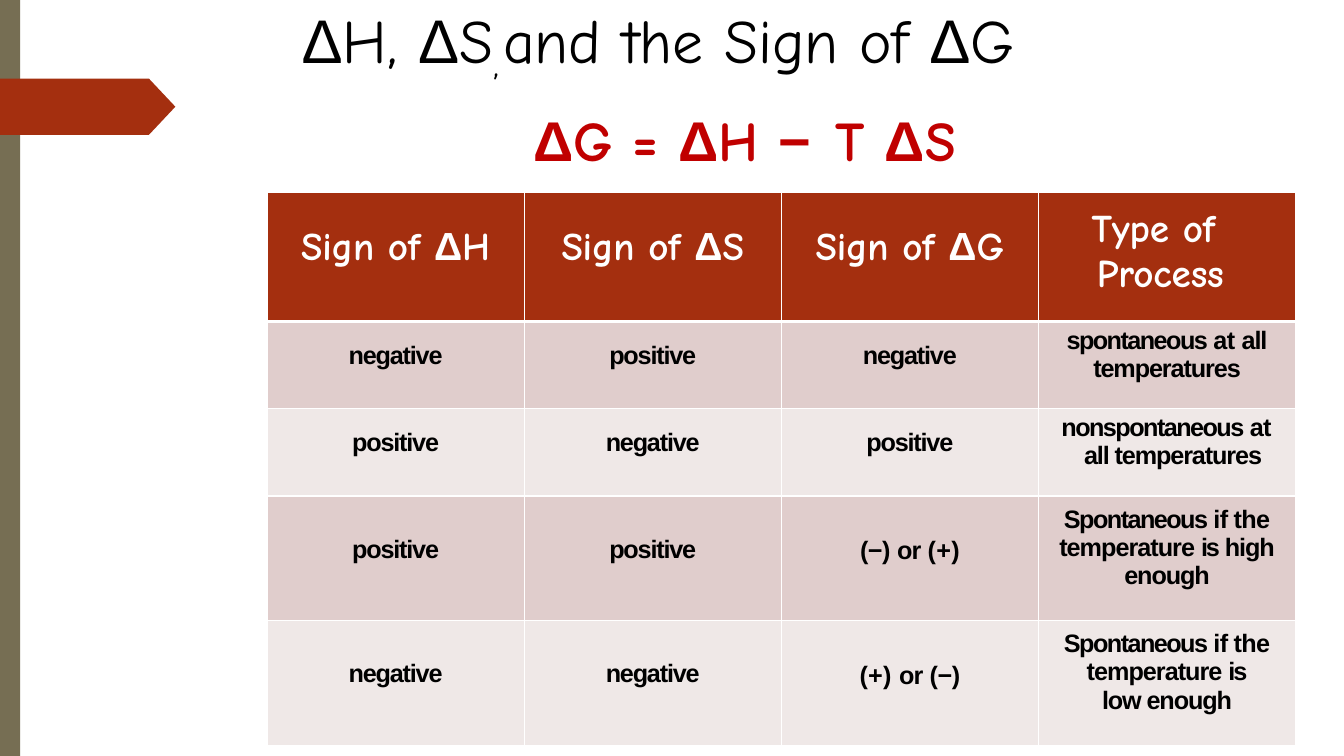
from dataclasses import dataclass
from itertools import groupby

from lxml.etree import SubElement
from pptx import Presentation
from pptx.dml.color import RGBColor
from pptx.enum.shapes import MSO_SHAPE
from pptx.enum.text import PP_ALIGN
from pptx.oxml.ns import qn
from pptx.util import Cm, Pt

DISPLAY, PLAIN = "Comic Neue", "Arial"
RUST, OLIVE, RED, WHITE, BLACK = "A42F0F", "766E53", "C00000", "FFFFFF", "000000"
BANDS = ("E0CDCC", "EFE8E7")


@dataclass
class Piece:
    """Stretch of text with its letter spacing and baseline shift."""
    text: str
    spacing: float = 0
    baseline: int = 0


@dataclass
class Entry:
    """Content of one table cell; centred unless a left margin is given."""
    pieces: list[Piece]
    top: float
    left: float = 0
    first_indent: float = 0


@dataclass
class Line:
    """Single line of display text with one tab stop."""
    pieces: list[Piece]
    box: tuple[float, float, float, float]
    size: int
    color: str
    bold: bool
    tab: float
    indent: float


def rgb(color: str) -> RGBColor:
    return RGBColor.from_string(color)


def add_pieces(paragraph, pieces: list[Piece], font: str) -> None:
    """Add runs, setting delta and minus signs in the plain font."""
    for piece in pieces:
        for number, part in enumerate(piece.text.split("\n")):
            if number:
                paragraph.add_line_break()
            for is_symbol, letters in groupby(part, lambda letter: letter in "Δ−"):
                run = paragraph.add_run()
                run.text = "".join(letters)
                run.font.name = PLAIN if is_symbol else font
                properties = run.font._element
                if piece.spacing:
                    properties.set("spc", str(round(piece.spacing * 100)))
                if piece.baseline:
                    properties.set("baseline", str(piece.baseline * 1000))


def set_font(paragraph, size: float, color: str, bold: bool) -> None:
    paragraph.font.size = Pt(size)
    paragraph.font.bold = bold
    paragraph.font.color.rgb = rgb(color)


def set_margins(paragraph, left: float, first_indent: float = 0):
    properties = paragraph._p.get_or_add_pPr()
    properties.set("marL", str(Cm(left)))
    properties.set("indent", str(Cm(first_indent)))
    return properties


def add_band(slide, kind: MSO_SHAPE, box: tuple, color: str):
    band = slide.shapes.add_shape(kind, *map(Cm, box))
    band.shadow.inherit = False
    band.fill.solid()
    band.fill.fore_color.rgb = rgb(color)
    band.line.fill.background()
    return band


def add_line(slide, line: Line) -> None:
    frame = slide.shapes.add_textbox(*map(Cm, line.box)).text_frame
    frame.word_wrap = True
    frame.margin_left = frame.margin_right = frame.margin_bottom = 0
    frame.margin_top = Cm(0.03)
    paragraph = frame.paragraphs[0]
    stops = SubElement(set_margins(paragraph, line.indent), qn("a:tabLst"))
    SubElement(stops, qn("a:tab"), pos=str(Cm(line.tab)), algn="l")
    set_font(paragraph, line.size, line.color, line.bold)
    add_pieces(paragraph, line.pieces, DISPLAY)


def set_borders(cell, widths: dict[str, float]) -> None:
    properties = cell._tc.get_or_add_tcPr()
    for position, (side, width) in enumerate(widths.items()):
        border = SubElement(properties, qn(f"a:ln{side}"), w=str(Pt(width)))
        SubElement(SubElement(border, qn("a:solidFill")), qn("a:srgbClr"), val=WHITE)
        properties.remove(border)
        properties.insert(position, border)


def fill_cell(cell, entry: Entry, row: int) -> None:
    header = row == 0
    cell.margin_left = cell.margin_right = cell.margin_bottom = 0
    cell.margin_top = Cm(entry.top)
    cell.fill.solid()
    cell.fill.fore_color.rgb = rgb(RUST if header else BANDS[(row - 1) % 2])
    set_borders(cell, {"L": 1, "R": 1, "T": 3 if row == 1 else 1, "B": 3 if header else 1})
    paragraph = cell.text_frame.paragraphs[0]
    if entry.left:
        set_margins(paragraph, entry.left, entry.first_indent)
    paragraph.alignment = PP_ALIGN.LEFT if entry.left else PP_ALIGN.CENTER
    set_font(paragraph, 28 if header else 18, WHITE if header else BLACK, True)
    add_pieces(paragraph, entry.pieces, DISPLAY if header else PLAIN)


def signs(texts: tuple[str, ...], top: float, spacing: float = -0.85) -> list[Entry]:
    return [Entry([Piece(text, spacing)], top) for text in texts]


def either(*pieces: Piece) -> Entry:
    return Entry(list(pieces), 1.02)


TITLE = Line(
    [Piece("ΔH, ΔS"), Piece(",\t", baseline=-21), Piece("and the "),
     Piece("Sign ", -0.1), Piece("of ΔG")],
    (7.52, 0.03, 19.56, 1.93), 44, BLACK, False, 5.87, 0.08)
FORMULA = Line(
    [Piece("ΔG "), Piece("= ", -0.1), Piece("ΔH "), Piece("−\t", -0.1), Piece("T ΔS")],
    (13.41, 2.62, 11.38, 1.75), 40, RED, True, 7.9, 0.03)

MINUS, PLUS, OR = Piece("(−) ", -0.3), Piece("(+) ", 0.2), Piece("or ", -0.6)
CONDITION = [Piece("Spontaneous ", -1.1), Piece("if the\n", -0.5),
             Piece("temperature ", -0.7)]
ROW_HEIGHTS = (3.25, 2.2, 2.2, 3.14, 3.14)
COLUMN_WIDTH = 6.48
ROWS = [
    signs(("Sign of ΔH", "Sign of ΔS", "Sign of ΔG"), 0.81, -0.1)
    + [Entry([Piece("Type of\nProcess", -0.1)], 0.38, 1.47, -0.13)],
    signs(("negative", "positive", "negative"), 0.51)
    + [Entry([Piece("spontaneous ", -1.1), Piece("at ", -0.4),
              Piece("all\ntemperatures", -0.8)], 0.13)],
    signs(("positive", "negative", "positive"), 0.51)
    + [Entry([Piece("nonspontaneous ", -1.1), Piece("at\n", -0.4),
              Piece("all temperatures", -0.8)], 0.13, 1.15, -0.57)],
    signs(("positive", "positive"), 0.99)
    + [either(MINUS, OR, Piece("(+)", 0.2)),
       Entry(CONDITION + [Piece("is ", -1.5), Piece("high\nenough", -0.8)], 0.23)],
    signs(("negative", "negative"), 0.99)
    + [either(PLUS, OR, Piece("(−)", -0.3)),
       Entry(CONDITION + [Piece("is\n", -1.5), Piece("low enough", -0.8)], 0.23)],
]


def add_sign_table(slide) -> None:
    columns = len(ROWS[0])
    table = slide.shapes.add_table(
        len(ROWS), columns, Cm(6.73), Cm(4.85),
        Cm(COLUMN_WIDTH * columns), Cm(sum(ROW_HEIGHTS))).table
    table.horz_banding = False
    for column in table.columns:
        column.width = Cm(COLUMN_WIDTH)
    for row, (entries, height) in enumerate(zip(ROWS, ROW_HEIGHTS)):
        table.rows[row].height = Cm(height)
        for column, entry in enumerate(entries):
            fill_cell(table.cell(row, column), entry, row)


def main() -> None:
    deck = Presentation()
    deck.slide_width, deck.slide_height = Cm(33.87), Cm(19.05)
    slide = deck.slides.add_slide(deck.slide_layouts[6])

    # Side decoration
    add_band(slide, MSO_SHAPE.RECTANGLE, (0, 0, 0.51, 19.05), OLIVE)
    marker = add_band(slide, MSO_SHAPE.PENTAGON, (0, 1.98, 4.42, 1.42), RUST)
    marker.adjustments[0] = 0.47

    # Heading, table of signs and formula
    add_line(slide, TITLE)
    add_sign_table(slide)
    add_line(slide, FORMULA)

    deck.save("out.pptx")


if __name__ == "__main__":
    main()
